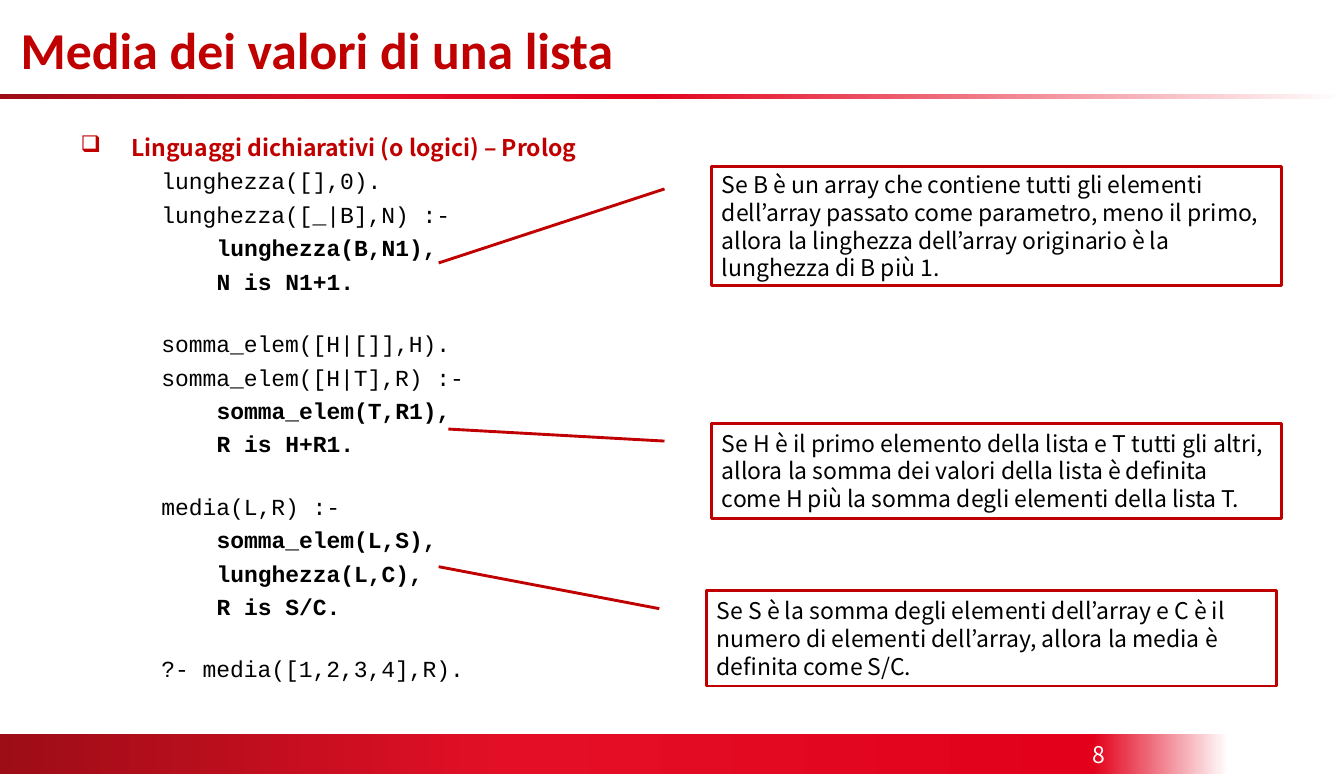
"""Build the slide on averaging a list in Prolog."""
from lxml import etree
from pptx import Presentation
from pptx import util as u
from pptx.dml.color import RGBColor
from pptx.enum import shapes, text
from pptx.oxml import ns

RED = RGBColor(0xC0, 0, 0)
BLACK = RGBColor(0, 0, 0)
WHITE = RGBColor(255, 255, 255)
SANS, MONO, HEAD = "Noto Sans CJK KR", "Courier New", "Calibri"
SIZE = 16

TITLE = "Media dei valori di una lista"
TOPIC = "Linguaggi dichiarativi (o logici) – Prolog"
RULES = [
    ("lunghezza([],0).", "lunghezza([_|B],N) :-", ["lunghezza(B,N1),", "N is N1+1."]),
    ("somma_elem([H|[]],H).", "somma_elem([H|T],R) :-", ["somma_elem(T,R1),", "R is H+R1."]),
    ("media(L,R) :-", ["somma_elem(L,S),", "lunghezza(L,C),", "R is S/C."]),
    ("?- media([1,2,3,4],R).",),
]
NOTES = [
    ((491.75, 411.1, 396.75, 66.25), (-0.253, -0.47),
     "Se S è la somma degli elementi dell’array e C è il numero di elementi dell’array, "
     "allora la media è definita come S/C."),
    ((495.35, 294.5, 396.75, 66.25), (0.062, -0.462),
     "Se H è il primo elemento della lista e T tutti gli altri, allora la somma dei valori "
     "della lista è definita come H più la somma degli elementi della lista T."),
    ((495.35, 115.9, 396.75, 82.8), (0.81, -0.479),
     "Se B è un array che contiene tutti gli elementi dell’array passato come parametro, "
     "meno il primo, allora la linghezza dell’array originario è la lunghezza di B più 1."),
]
BARS = [
    ((0, 510.5, 854.65, 28.1), (0, 42, 89, 100)),
    ((0, 65.5, 935.3, 3.6), (0, 28, 48, 100)),
]
TINTS = ("9D0D16", "E40F27", "E2001A", "FFFFFF")
LEFT, STEP = 56.15, 38.4
LEAD, GAP = 4.1, 24.2


def add(node, tag, **attrs):
    return etree.SubElement(node, ns.qn(tag), attrs)


def write(para, words, face, size, color, bold=False):
    run = para.add_run()
    run.text = words
    font = run.font
    font.name, font.size, font.bold = face, u.Pt(size), bold
    font.color.rgb = color


def box(page, place, side, edge):
    frame = page.shapes.add_textbox(*map(u.Pt, place)).text_frame
    frame.word_wrap = True
    frame.margin_left = frame.margin_right = u.Pt(side)
    frame.margin_top = frame.margin_bottom = u.Pt(edge)
    return frame


def shape(page, kind, place):
    item = page.shapes.add_shape(kind, *map(u.Pt, place))
    item.shadow.inherit = False
    return item


def bar(page, place, stops):
    item = shape(page, shapes.MSO_SHAPE.RECTANGLE, place)
    item.line.fill.background()
    item.fill.gradient()
    item.fill.gradient_angle = 0
    ramp = item.fill._xPr.find(".//" + ns.qn("a:gsLst"))
    for stop in list(ramp):
        ramp.remove(stop)
    for pos, tint in zip(stops, TINTS):
        add(add(ramp, "a:gs", pos=str(pos * 1000)), "a:srgbClr", val=tint)


def note(page, place, tip, words):
    item = shape(page, shapes.MSO_SHAPE.LINE_CALLOUT_1, place)
    for num, value in enumerate((0.188, -0.083) + tip):
        item.adjustments[num] = value
    item.fill.background()
    item.line.color.rgb = RED
    item.line.width = u.Pt(2)
    frame = item.text_frame
    frame.word_wrap = True
    frame.vertical_anchor = text.MSO_ANCHOR.MIDDLE
    para = frame.paragraphs[0]
    para.alignment = text.PP_ALIGN.LEFT
    write(para, words, SANS, SIZE, BLACK)


def code(frame, words, left, space, bold):
    para = frame.add_paragraph()
    para.space_before = u.Pt(space)
    para._p.get_or_add_pPr().set("marL", str(u.Pt(left)))
    write(para, words, MONO, SIZE, BLACK, bold)


def body(page):
    frame = box(page, (46.8, 87.85, 841.7, 355.7), 9.35, 5.05)
    para = frame.paragraphs[0]
    props = para._p.get_or_add_pPr()
    props.set("marL", str(u.Pt(35.3)))
    props.set("indent", str(u.Pt(-35.3)))
    add(add(props, "a:buClr"), "a:srgbClr", val=str(RED))
    add(props, "a:buChar", char="❑")
    write(para, TOPIC, SANS, SIZE, RED, True)
    space = LEAD
    for rule in RULES:
        for part in rule:
            deep = isinstance(part, list)
            for line in part if deep else [part]:
                code(frame, line, LEFT + STEP * deep, space, deep)
                space = LEAD
        space = GAP


def main():
    deck = Presentation()
    deck.slide_width, deck.slide_height = u.Pt(935.3), u.Pt(538.6)
    page = deck.slides.add_slide(deck.slide_layouts[6])
    for item in BARS:
        bar(page, *item)
    body(page)
    frame = box(page, (710.65, 519.1, 67.7, 11.5), 9.35, 5.05)
    frame.vertical_anchor = text.MSO_ANCHOR.MIDDLE
    frame.paragraphs[0].alignment = text.PP_ALIGN.RIGHT
    write(frame.paragraphs[0], "8", SANS, SIZE, WHITE)
    frame = box(page, (14.4, 12.25, 877.7, 41.75), 0, 0)
    write(frame.paragraphs[0], TITLE, HEAD, 36, RED, True)
    for item in NOTES:
        note(page, *item)
    deck.save("out.pptx")


if __name__ == "__main__":
    main()
